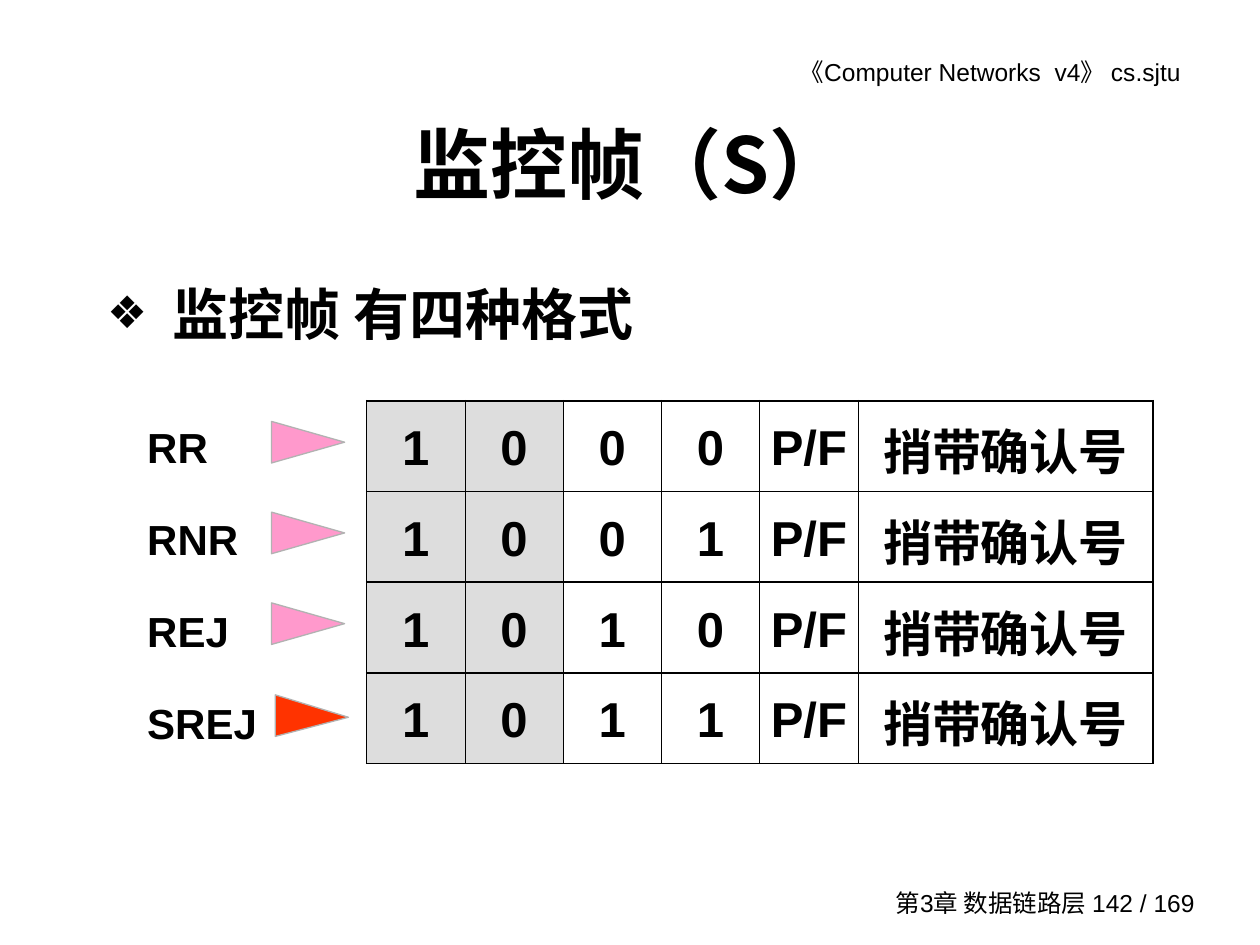
from lxml.etree import SubElement
from pptx import Presentation
from pptx.dml.color import RGBColor
from pptx.enum.shapes import MSO_SHAPE
from pptx.enum.text import MSO_ANCHOR as ANCHOR, MSO_AUTO_SIZE as AUTO_SIZE, PP_ALIGN as ALIGN
from pptx.oxml.ns import qn
from pptx.util import Inches, Pt

LATIN, CJK = "Arial", "Noto Sans CJK SC"
BLACK, GRAY, PINK, RED, OUTLINE = "000000", "DDDDDD", "FF99CC", "FF3300", "B2B2B2"
THIN, THICK = 0.45, 1.08

FRAMES = {"RR": "1000", "RNR": "1001", "REJ": "1010", "SREJ": "1011"}
TABLE_LEFT, TABLE_TOP = 2.91, 3.18
BIT_W, ROW_H = 0.78, 0.72


def rgb(color):
    return RGBColor.from_string(color)


def add_run(p, text, size, bold=False, font=LATIN):
    r = p.add_run()
    r.text = text
    r.font.size, r.font.bold, r.font.name = Pt(size), bold, font
    r.font.color.rgb = rgb(BLACK)
    SubElement(r.font._element, qn("a:ea"), typeface=CJK)


def place(s, left, top, width, height):
    s.left, s.top = Inches(left), Inches(top)
    s.width, s.height = Inches(width), Inches(height)


def set_frame(tf, anchor):
    tf.word_wrap = True
    tf.auto_size = AUTO_SIZE.NONE
    tf.vertical_anchor = anchor


def add_bullet(p, char, indent):
    pPr = p._p.get_or_add_pPr()
    pPr.set("marL", str(Inches(indent)))
    pPr.set("indent", str(-Inches(indent)))
    SubElement(SubElement(pPr, qn("a:buClr")), qn("a:srgbClr"), val=BLACK)
    SubElement(pPr, qn("a:buSzPct"), val="80000")
    SubElement(pPr, qn("a:buChar"), char=char)


def fill_placeholders(slide):
    title, body = slide.shapes.title, slide.placeholders[1]
    place(title, 0.75, 0.67, 8.5, 1.25)
    set_frame(title.text_frame, ANCHOR.MIDDLE)
    p = title.text_frame.paragraphs[0]
    p.alignment = ALIGN.CENTER
    add_run(p, "监控帧（S）", 44, True, CJK)

    place(body, 0.75, 2.17, 8.5, 0.74)
    set_frame(body.text_frame, ANCHOR.TOP)
    p = body.text_frame.paragraphs[0]
    p.space_before = Pt(0)
    add_bullet(p, "❖", 0.52)
    add_run(p, "监控帧 有四种格式", 32, True)


def add_text_box(slide, box, anchor=ANCHOR.TOP):
    s = slide.shapes.add_textbox(*map(Inches, box))
    set_frame(s.text_frame, anchor)
    return s.text_frame


def add_page_note(slide, box, text, anchor, right_inset=0.1):
    tf = add_text_box(slide, box, anchor)
    tf.margin_right = Inches(right_inset)
    p = tf.paragraphs[0]
    p.alignment = ALIGN.RIGHT
    add_run(p, text, 14)


def set_borders(cell, **widths):
    """Draw cell borders; keys are L, R, T, B and values are points."""
    tcPr = cell._tc.get_or_add_tcPr()
    for i, side in enumerate("LRTB"):
        ln = SubElement(tcPr, qn(f"a:ln{side}"), w=str(Pt(widths[side])))
        SubElement(SubElement(ln, qn("a:solidFill")), qn("a:srgbClr"), val=BLACK)
        tcPr.remove(ln)
        tcPr.insert(i, ln)


def fill_cell(cell, text, color):
    cell.margin_left = cell.margin_right = Inches(0.04)
    cell.vertical_anchor = ANCHOR.MIDDLE
    if color:
        cell.fill.solid()
        cell.fill.fore_color.rgb = rgb(color)
    else:
        cell.fill.background()
    p = cell.text_frame.paragraphs[0]
    p.alignment, p.line_spacing = ALIGN.CENTER, 1.1
    add_run(p, text, 28, True)


def add_frame_table(slide):
    rows = [[*bits, "P/F", "捎带确认号"] for bits in FRAMES.values()]
    widths = [BIT_W] * 5 + [3 * BIT_W]
    s = slide.shapes.add_table(len(rows), len(widths), Inches(TABLE_LEFT), Inches(TABLE_TOP),
                               Inches(sum(widths)), Inches(ROW_H * len(rows)))
    table = s.table
    table.first_row = table.horz_banding = False
    for column, width in zip(table.columns, widths):
        column.width = Inches(width)
    last = len(widths) - 1
    for i, row in enumerate(rows):
        table.rows[i].height = Inches(ROW_H)
        for j, text in enumerate(row):
            cell = table.cell(i, j)
            fill_cell(cell, text, GRAY if j < 2 else None)
            set_borders(cell, L=THICK if j == 0 else THIN, R=THICK if j == last else THIN,
                        T=THICK, B=THICK)


def add_frame_names(slide):
    tf = add_text_box(slide, (1.07, TABLE_TOP, 1.22, 2.81))
    for i, name in enumerate(FRAMES):
        p = tf.add_paragraph() if i else tf.paragraphs[0]
        p.line_spacing = 1.3
        p.space_before = Pt(15 if i else 0)
        add_run(p, name, 24, True)


def add_pointer(slide, left, top, color, apex=0.5):
    """Add a triangle that is turned to point right."""
    s = slide.shapes.add_shape(MSO_SHAPE.ISOSCELES_TRIANGLE, Inches(left), Inches(top),
                               Inches(0.33), Inches(0.58))
    s.rotation = 90
    s.adjustments[0] = apex
    s.shadow.inherit = False
    s.fill.solid()
    s.fill.fore_color.rgb = rgb(color)
    s.line.color.rgb = rgb(OUTLINE)
    s.line.width = Pt(0.75)


def main():
    prs = Presentation()
    prs.slide_width, prs.slide_height = Inches(10), Inches(7.5)
    slide = prs.slides.add_slide(prs.slide_layouts[1])
    add_page_note(slide, (5.27, 0.4, 4.31, 0.34), "《Computer Networks  v4》 cs.sjtu",
                  ANCHOR.TOP, right_inset=0.21)
    add_page_note(slide, (6.94, 7, 2.64, 0.33), "第3章 数据链路层 142 / 169", ANCHOR.MIDDLE)
    fill_placeholders(slide)
    add_frame_table(slide)
    add_frame_names(slide)
    for i in range(3):
        add_pointer(slide, 2.28, 3.22 + i * ROW_H, PINK)
    add_pointer(slide, 2.31, 5.39, RED, apex=0.54)
    prs.save("out.pptx")


if __name__ == "__main__":
    main()
